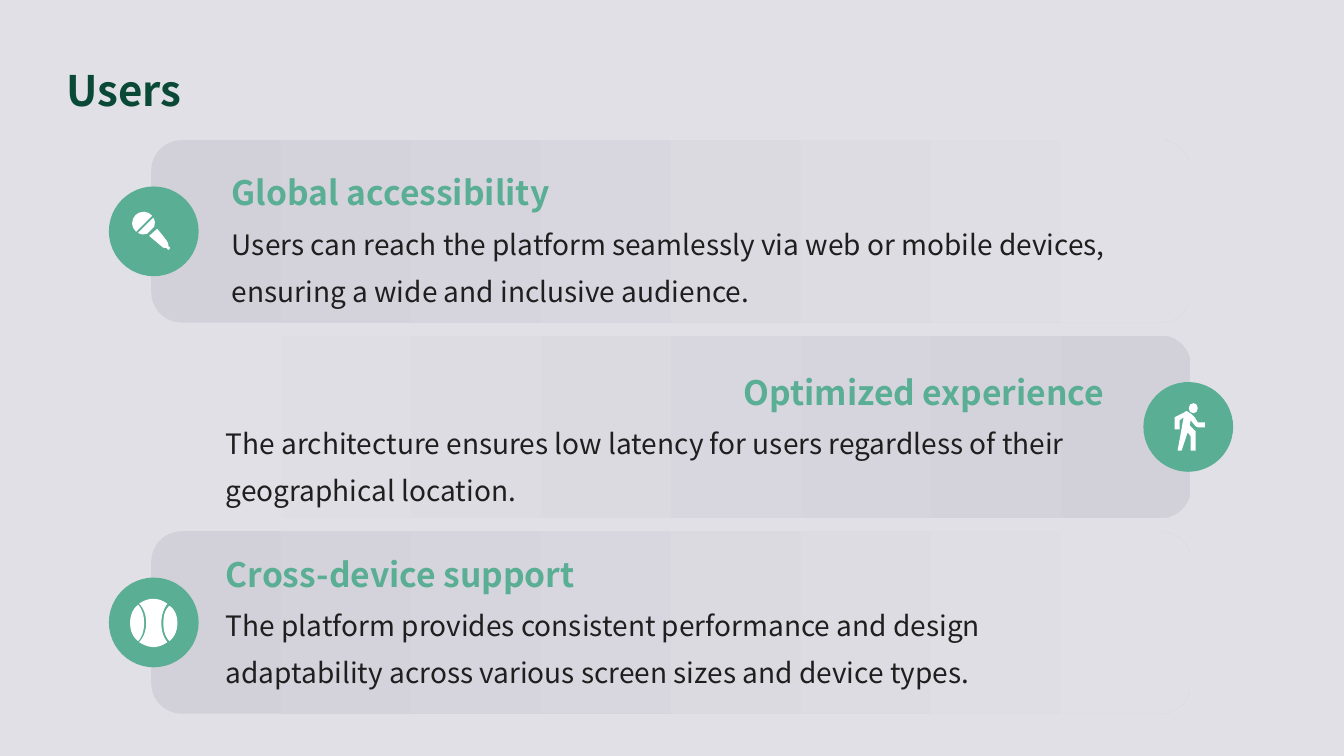
"""Build the Users slide: three gradient cards with icon badges."""
from pptx import Presentation
from pptx.dml.color import RGBColor
from pptx.enum import shapes, text
from pptx.oxml.ns import qn
from pptx.oxml.xmlchemy import OxmlElement
from pptx.util import Inches, Pt

COLORS = {"background": "E1E0E7", "card": "D2D1DA", "accent": "59AE93",
          "title": "094935", "body": "1F1F1F", "icon": "FFFFFF"}

MICROPHONE = [
    [(1.53, 2.25), (1.54, 2.22, 1.54, 2.19, 1.52, 2.16), (1.37, 2.31),
     (1.4, 2.33, 1.43, 2.33, 1.46, 2.32)],
    [(1.51, 2.14), (1.49, 2.12, 1.46, 2.1, 1.43, 2.1), (1.36, 2.1, 1.31, 2.15, 1.31, 2.22),
     (1.31, 2.25, 1.33, 2.28, 1.35, 2.3)],
    [(1.67, 2.44), (1.67, 2.44, 1.67, 2.4, 1.66, 2.4), (1.66, 2.39, 1.56, 2.27, 1.56, 2.27),
     (1.48, 2.34), (1.61, 2.45), (1.61, 2.46, 1.65, 2.46, 1.65, 2.46),
     (1.67, 2.48), (1.69, 2.46)],
]
WALKER = [
    [(11.81, 4.17), (11.85, 4.22), (11.86, 4.23, 11.87, 4.24, 11.88, 4.24), (11.95, 4.24),
     (11.95, 4.19), (11.88, 4.19), (11.85, 4.14), (11.84, 4.13, 11.83, 4.12, 11.82, 4.11),
     (11.79, 4.09), (11.78, 4.08, 11.77, 4.08, 11.77, 4.08),
     (11.76, 4.08, 11.75, 4.08, 11.75, 4.09), (11.65, 4.14), (11.65, 4.26), (11.7, 4.26),
     (11.7, 4.17), (11.74, 4.14), (11.68, 4.47), (11.72, 4.47), (11.78, 4.29),
     (11.81, 4.33), (11.81, 4.47), (11.86, 4.47), (11.86, 4.28), (11.8, 4.22)],
    [(11.84, 4.1), (11.86, 4.1, 11.88, 4.08, 11.88, 4.05), (11.88, 4.02, 11.86, 4, 11.84, 4),
     (11.81, 4, 11.79, 4.02, 11.79, 4.05), (11.79, 4.08, 11.81, 4.1, 11.84, 4.1)],
]
BALL = [
    [(1.6, 6.18), (1.6, 6.06, 1.66, 5.99, 1.66, 5.99), (1.66, 5.99, 1.6, 5.94, 1.52, 5.94),
     (1.44, 5.94, 1.38, 5.99, 1.38, 5.99), (1.38, 5.99, 1.45, 6.04, 1.45, 6.18),
     (1.45, 6.31, 1.38, 6.37, 1.38, 6.37), (1.38, 6.37, 1.45, 6.42, 1.52, 6.42),
     (1.6, 6.42, 1.66, 6.37, 1.66, 6.37), (1.66, 6.37, 1.6, 6.31, 1.6, 6.18)],
    [(1.37, 6), (1.37, 6, 1.29, 6.05, 1.29, 6.18), (1.29, 6.31, 1.37, 6.36, 1.37, 6.36),
     (1.37, 6.36, 1.43, 6.31, 1.43, 6.18), (1.43, 6.05, 1.37, 6, 1.37, 6)],
    [(1.68, 6.01), (1.68, 6.01, 1.62, 6.05, 1.62, 6.18), (1.62, 6.31, 1.68, 6.36, 1.68, 6.36),
     (1.68, 6.36, 1.76, 6.31, 1.76, 6.18), (1.76, 6.05, 1.68, 6.01, 1.68, 6.01)],
]

LEFT, RIGHT = text.PP_ALIGN.LEFT, text.PP_ALIGN.RIGHT
CARDS = [
    ("Global accessibility",
     "Users can reach the platform seamlessly via web or mobile devices, "
     "ensuring a wide and inclusive audience.", 2.17, 1.56, LEFT),
    ("Optimized experience",
     "The architecture ensures low latency for users regardless of their "
     "geographical location.", 2.11, 3.54, RIGHT),
    ("Cross-device support",
     "The platform provides consistent performance and design adaptability "
     "across various screen sizes and device types.", 2.11, 5.34, LEFT),
]
CARD_TOPS = [1.39 + 1.94 * row for row in range(3)]


def color(name):
    return RGBColor.from_string(COLORS[name])


class SlideBuilder:
    """Hold the style and the current slide."""

    font = "Noto Sans CJK SC"

    def __init__(self, slide):
        self.slide = slide
        slide.background.fill.solid()
        slide.background.fill.fore_color.rgb = color("background")

    def plain(self, shape, fill=None):
        shape.shadow.inherit = False
        shape.line.fill.background()
        if fill:
            shape.fill.solid()
            shape.fill.fore_color.rgb = color(fill)
        return shape

    def card(self, top, start, end):
        panel = self.plain(self.slide.shapes.add_shape(
            shapes.MSO_SHAPE.ROUNDED_RECTANGLE,
            Inches(1.5), Inches(top), Inches(10.31), Inches(1.81)))
        panel.fill.gradient()
        panel.fill.gradient_angle = 0
        for stop, position, name in zip(panel.fill.gradient_stops, (0, 1), (start, end)):
            stop.position = position
            stop.color.rgb = color(name)

    def badge(self, left, top):
        self.plain(self.slide.shapes.add_shape(
            shapes.MSO_SHAPE.OVAL, Inches(left), Inches(top),
            Inches(0.89), Inches(0.89)), "accent")

    def icon(self, outlines):
        corners = [[tuple(map(Inches, segment[-2:])) for segment in outline]
                   for outline in outlines]
        builder = self.slide.shapes.build_freeform(*corners[0][0])
        builder.add_line_segments(corners[0][1:])
        for points in corners[1:]:
            builder.move_to(*points[0])
            builder.add_line_segments(points[1:])
        glyph = self.plain(builder.convert_to_shape(), "icon")
        segments = [segment for outline in outlines for segment in outline[1:]]
        for line, segment in zip(list(glyph.element.iter(qn("a:lnTo"))), segments):
            if len(segment) == 6:
                self.bend(line, segment, glyph)

    def bend(self, line, segment, glyph):
        curve = OxmlElement("a:cubicBezTo")
        for x, y in zip(segment[::2], segment[1::2]):
            point = OxmlElement("a:pt")
            point.set("x", str(Inches(x) - glyph.left))
            point.set("y", str(Inches(y) - glyph.top))
            curve.append(point)
        line.getparent().replace(line, curve)

    def label(self, words, box, size, ink, spacing, bold=False, align=LEFT,
              anchor=text.MSO_ANCHOR.MIDDLE, insets=(0.13, 0.06, 0.13, 0.06)):
        frame = self.slide.shapes.add_textbox(*map(Inches, box)).text_frame
        frame.word_wrap = True
        frame.vertical_anchor = anchor
        (frame.margin_left, frame.margin_top,
         frame.margin_right, frame.margin_bottom) = map(Inches, insets)
        paragraph = frame.paragraphs[0]
        paragraph.text = words
        paragraph.alignment = align
        paragraph.line_spacing = spacing
        paragraph.font.name = self.font
        paragraph.font.size = Pt(size)
        paragraph.font.bold = bold
        paragraph.font.color.rgb = color(ink)


def main():
    deck = Presentation()
    deck.slide_width, deck.slide_height = Inches(13.33), Inches(7.5)
    users = SlideBuilder(deck.slides.add_slide(deck.slide_layouts[6]))
    first, second, third = CARD_TOPS
    users.card(second, "background", "card")
    for top in (third, first):
        users.card(top, "card", "background")
    for left, top, outlines in ((1.08, third, BALL), (11.34, second, WALKER),
                                (1.08, first, MICROPHONE)):
        users.badge(left, top + 0.46)
        users.icon(outlines)
    users.label("Users", (0.52, 0.29, 12.29, 1), 30, "title", 1.4, bold=True,
                insets=(0.14, 0.14, 0.06, 0.14))
    for heading, body, left, top, side in CARDS:
        users.label(heading, (left, top, 8.97, 0.62), 24, "accent", 1.2,
                    bold=True, align=side)
        users.label(body, (left, top + 0.5, 8.97, 0.85), 20, "body", 1.4,
                    anchor=text.MSO_ANCHOR.TOP)
    deck.save("out.pptx")


if __name__ == "__main__":
    main()
